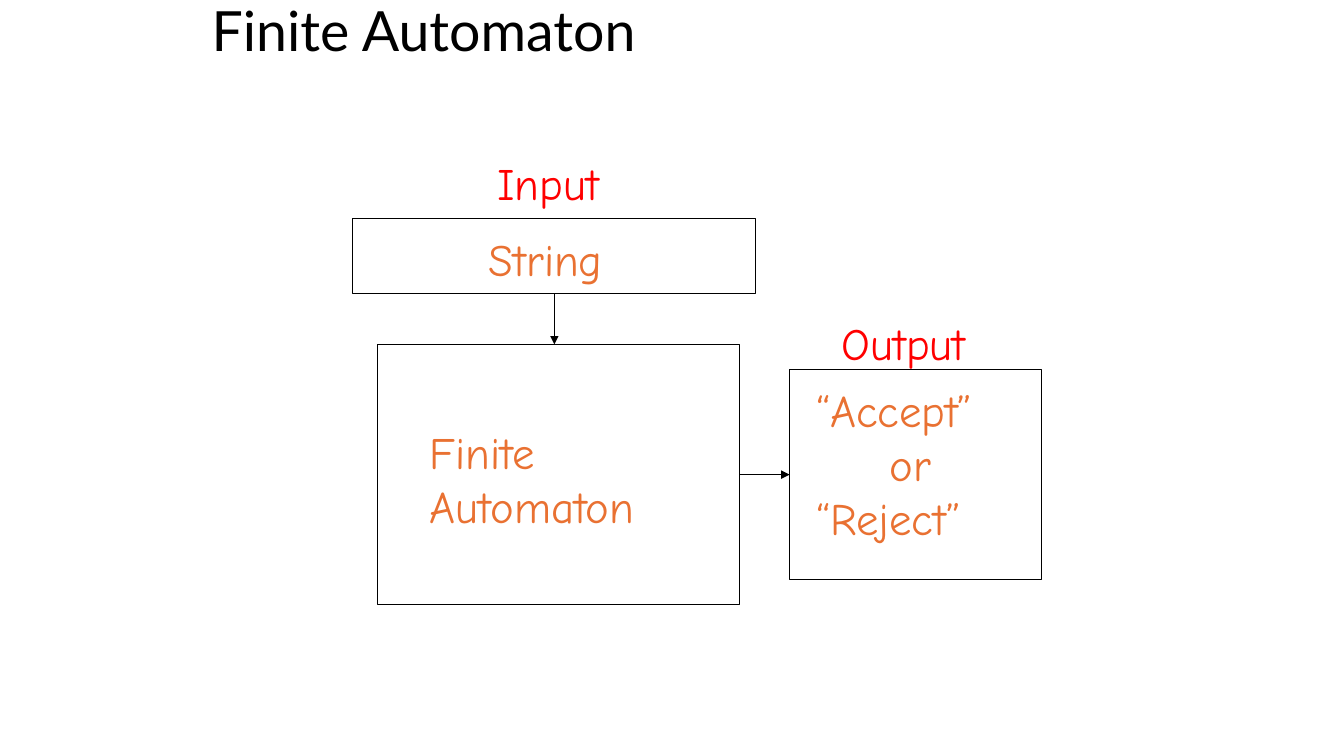
from lxml import etree
from pptx import Presentation
from pptx.dml.color import RGBColor
from pptx.enum.shapes import MSO_CONNECTOR as Wire, MSO_SHAPE as Form
from pptx.enum.text import MSO_ANCHOR as Anchor, MSO_AUTO_SIZE as Fit, PP_ALIGN as Align
from pptx.oxml.ns import qn
from pptx.util import Inches, Pt

COLS, ROWS = 160, 90
CELL = Inches(1) // 12
BLACK, RED, ORANGE = "000000", "FF0000", "E97132"
TOP, LEFT, BOTTOM, RIGHT = range(4)


def paint(code):
    return RGBColor.from_string(code)


def cells(*nums):
    """Turn grid columns or rows into slide lengths."""
    return [int(n * CELL) for n in nums]


class Chart:
    """Style and current slide of the block diagram."""
    head, body = "Lato", "Comic Neue"
    edge = Pt(0.75)

    def __init__(self, deck):
        self.slide = deck.slides.add_slide(deck.slide_layouts[5])
        self.shapes = self.slide.shapes

    def add_text(self, par, text, face, size, color):
        run = par.add_run()
        run.text = text
        run.font.name, run.font.size = face, Pt(size)
        run.font.color.rgb = paint(color)

    def title(self, text, *area):
        box = self.shapes.title
        box.left, box.top, box.width, box.height = cells(*area)
        frame = box.text_frame
        frame.auto_size, frame.vertical_anchor = Fit.NONE, Anchor.MIDDLE
        par = frame.paragraphs[0]
        par.alignment, par.line_spacing = Align.LEFT, 0.9
        self.add_text(par, text, self.head, 39.6, BLACK)

    def box(self, *area):
        rect = self.shapes.add_shape(Form.RECTANGLE, *cells(*area))
        rect.shadow.inherit = False
        rect.fill.background()
        rect.line.color.rgb, rect.line.width = paint(BLACK), self.edge
        return rect

    def label(self, lines, color, *area):
        """Set (text, indent in columns) pairs, one to a paragraph."""
        frame = self.shapes.add_textbox(*cells(*area)).text_frame
        frame.word_wrap = True
        for i, (text, indent) in enumerate(lines):
            par = frame.add_paragraph() if i else frame.paragraphs[0]
            if indent:
                par._p.get_or_add_pPr().set("marL", str(cells(indent)[0]))
            self.add_text(par, text, self.body, 32, color)

    def arrow(self, x1, y1, x2, y2, start=None, end=None):
        """Draw an arrow; start and end are (shape, side) pairs to join."""
        line = self.shapes.add_connector(Wire.STRAIGHT, *cells(x1, y1, x2, y2))
        if start:
            line.begin_connect(*start)
        if end:
            line.end_connect(*end)
        line.line.color.rgb, line.line.width = paint(BLACK), self.edge
        etree.SubElement(line.line._get_or_add_ln(), qn("a:tailEnd"), type="triangle")
        etree.SubElement(line._element.spPr, qn("a:effectLst"))


def main():
    deck = Presentation()
    deck.slide_width, deck.slide_height = cells(COLS, ROWS)
    art = Chart(deck)
    art.title("Finite Automaton", 24, 0, 116, 8)

    core = art.box(45, 41, 43, 31)
    feed = art.box(42, 26, 48, 9)
    out = art.box(94, 44, 30, 25)

    art.label([("Input", 0)], RED, 58, 18, 16.5, 7.5)
    art.label([("String", 0)], ORANGE, 57, 27, 18.5, 7.5)
    art.label([("Finite", 0), ("Automaton", 0)], ORANGE, 50, 50, 30, 14)
    art.label([("Output", 0)], RED, 99, 37, 20, 7.5)
    art.label([("“Accept”", 0), ("or", 8.75), ("“Reject”", 0)],
              ORANGE, 96, 45, 24.5, 20.5)

    art.arrow(66, 35, 66, 41, start=(feed, BOTTOM))
    art.arrow(88, 56.5, 94, 56.5, start=(core, RIGHT), end=(out, LEFT))
    deck.save("out.pptx")


if __name__ == "__main__":
    main()
